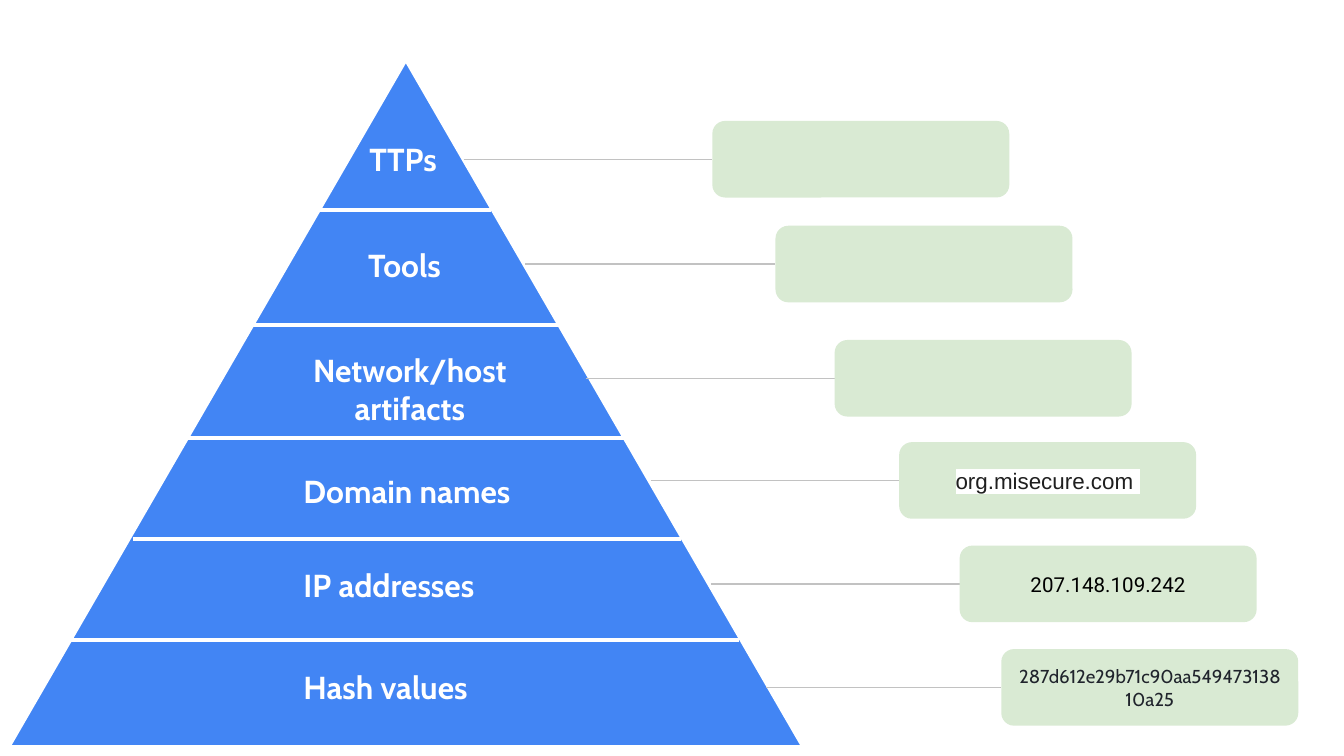
"""Build a Pyramid of Pain slide with an example box for each level."""
from dataclasses import dataclass

from lxml.etree import SubElement
from pptx import Presentation
from pptx.dml.color import RGBColor as RGB
from pptx.enum.shapes import MSO_CONNECTOR as CONN, MSO_SHAPE as SHAPE
from pptx.enum.text import MSO_ANCHOR as ANCHOR, MSO_AUTO_SIZE as FIT, PP_ALIGN as ALIGN
from pptx.oxml import parse_xml
from pptx.oxml.ns import nsdecls, qn
from pptx.util import Inches, Pt


@dataclass(frozen=True)
class Theme:
    """Colours, fonts and sizes of the slide."""
    blue: str = "4285F4"
    green: str = "D9EAD3"
    white: str = "FFFFFF"
    grey: str = "C2C2C2"
    font: str = "Cabin"
    label_size: float = 17
    divider_width: float = 2.25
    link_width: float = 0.75
    inset: float = 0.1
    box_width: float = 2.21
    box_height: float = 0.57


@dataclass(frozen=True)
class Divider:
    """A white line across the pyramid."""
    left: float
    right: float
    y: float


@dataclass(frozen=True)
class Label:
    """The name of a pyramid level."""
    text: str
    left: float
    top: float
    width: float
    height: float = 0.49
    align: ALIGN = ALIGN.LEFT


@dataclass(frozen=True)
class Example:
    """A box linked to a level, with an optional indicator."""
    link_left: float
    left: float
    top: float
    text: str = ""
    font: str = "Cabin"
    size: float = 10
    color: str = "000000"
    highlight: str = ""


THEME = Theme()

DIVIDERS = [
    Divider(2.38, 3.65, 1.56),
    Divider(1.88, 4.17, 2.42),
    Divider(1.39, 4.64, 3.26),
    Divider(0.99, 5.07, 4.01),
    Divider(0.53, 5.5, 4.76),
]

LABELS = [
    Label("TTPs", 2.65, 0.94, 0.88),
    Label("Tools", 2.64, 1.73, 0.88),
    Label("Network/host artifacts", 1.96, 2.51, 2.18, 0.77, ALIGN.CENTER),
    Label("Domain names", 2.16, 3.41, 2.24),
    Label("IP addresses", 2.16, 4.11, 2.24),
    Label("Hash values", 2.16, 4.87, 2.24),
]

EXAMPLES = [
    Example(3.45, 5.3, 0.9),
    Example(3.91, 5.77, 1.68),
    Example(4.36, 6.21, 2.53),
    Example(4.84, 6.69, 3.29, "org.misecure.com ", "Arial", 12, "1F1F1F", THEME.white),
    Example(5.29, 7.14, 4.06, "207.148.109.242", "Roboto", 11),
    Example(5.7, 7.45, 4.83, "287d612e29b71c90aa54947313810a25", color="20242C"),
]


def add_filled(shapes, kind: SHAPE, left: float, top: float, width: float,
               height: float, color: str):
    """Add a flat preset shape without an outline."""
    s = shapes.add_shape(kind, Inches(left), Inches(top), Inches(width), Inches(height))
    s.shadow.inherit = False
    s.fill.solid()
    s.fill.fore_color.rgb = RGB.from_string(color)
    s.line.fill.background()
    return s


def add_line(shapes, kind: CONN, left: float, right: float, y: float,
             color: str, width: float) -> None:
    """Add a horizontal connector without a shadow."""
    s = shapes.add_connector(kind, Inches(left), Inches(y), Inches(right), Inches(y))
    s.line.color.rgb = RGB.from_string(color)
    s.line.width = Pt(width)
    SubElement(s._element.spPr, qn("a:effectLst"))


def set_text(s, text: str, font: str, size: float, color: str,
             align: ALIGN, bold: bool = False):
    """Write one wrapped paragraph and return its run."""
    tf = s.text_frame
    tf.text = text
    tf.word_wrap = True
    tf.margin_left = tf.margin_right = Inches(THEME.inset)
    tf.margin_top = tf.margin_bottom = Inches(THEME.inset)
    p = tf.paragraphs[0]
    p.alignment = align
    r = p.runs[0]
    r.font.name = font
    r.font.size = Pt(size)
    r.font.bold = bold
    r.font.color.rgb = RGB.from_string(color)
    return r


def add_pyramid(shapes) -> None:
    """Draw the triangle and the lines that divide it."""
    s = add_filled(shapes, SHAPE.ISOSCELES_TRIANGLE, 0.06, 0.44, 5.92, 5.12, THEME.blue)
    s.line.color.rgb = RGB.from_string(THEME.white)
    s.line.width = Pt(THEME.divider_width)
    for d in DIVIDERS:
        add_line(shapes, CONN.STRAIGHT, d.left, d.right, d.y,
                 THEME.white, THEME.divider_width)


def add_label(shapes, label: Label) -> None:
    """Write a level name on the pyramid."""
    s = shapes.add_textbox(Inches(label.left), Inches(label.top),
                           Inches(label.width), Inches(label.height))
    set_text(s, label.text, THEME.font, THEME.label_size, THEME.white, label.align, True)
    s.text_frame.auto_size = FIT.SHAPE_TO_FIT_TEXT


def add_example(shapes, example: Example) -> None:
    """Draw an example box and the link that leads to it."""
    add_line(shapes, CONN.ELBOW, example.link_left, example.left,
             example.top + THEME.box_height / 2, THEME.grey, THEME.link_width)
    s = add_filled(shapes, SHAPE.ROUNDED_RECTANGLE, example.left, example.top,
                   THEME.box_width, THEME.box_height, THEME.green)
    if not example.text:
        return
    r = set_text(s, example.text, example.font, example.size, example.color, ALIGN.CENTER)
    s.text_frame.vertical_anchor = ANCHOR.MIDDLE
    if example.highlight:
        latin = r._r.get_or_add_rPr().find(qn("a:latin"))
        latin.addprevious(parse_xml(
            f'<a:highlight {nsdecls("a")}><a:srgbClr val="{example.highlight}"/></a:highlight>'))


def main() -> None:
    """Assemble and save the slide."""
    prs = Presentation()
    prs.slide_width = Inches(10)
    prs.slide_height = Inches(10 * 9 / 16)
    shapes = prs.slides.add_slide(prs.slide_layouts[6]).shapes
    add_pyramid(shapes)
    for label in LABELS:
        add_label(shapes, label)
    for example in EXAMPLES:
        add_example(shapes, example)
    prs.save("out.pptx")


if __name__ == "__main__":
    main()
